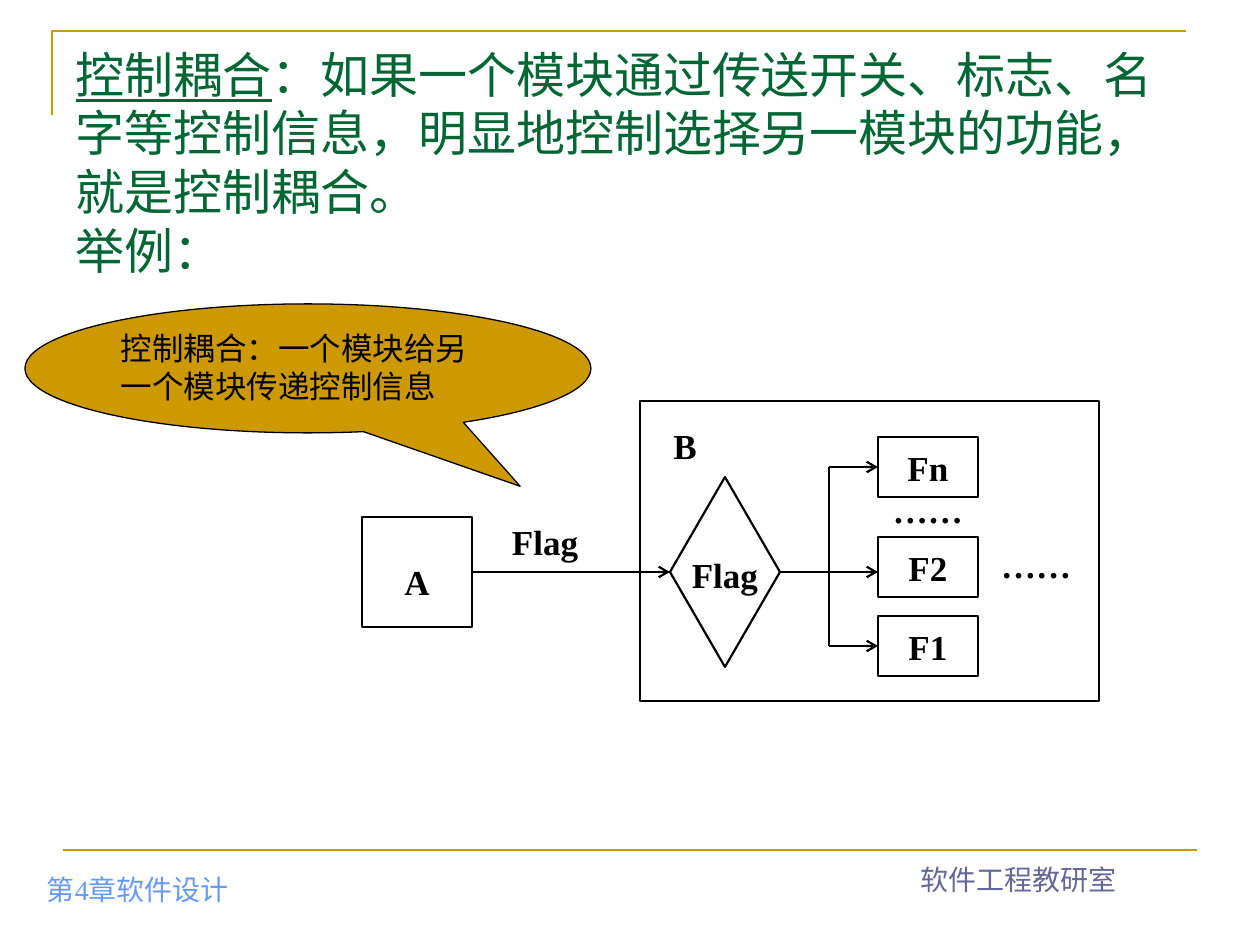
"""Build the control coupling slide."""
from lxml.etree import SubElement
from pptx import Presentation
from pptx.dml.color import RGBColor
from pptx.enum.shapes import MSO_CONNECTOR, MSO_SHAPE
from pptx.enum.text import MSO_ANCHOR, PP_ALIGN
from pptx.oxml.ns import qn
from pptx.util import Pt

SCALE = 914400 / 126
COLORS = {
    "gold": "CC9900", "green": "006633", "blue": "6699FF",
    "violet": "666699", "black": "000000", "white": "FFFFFF",
}
SERIF = "Times New Roman"
LABEL = {"name": SERIF, "size": Pt(20), "bold": True}
FOOTER = {"name": SERIF, "size": Pt(16)}
HEADING = {"name": "Noto Sans CJK SC", "size": Pt(28)}
CALLOUT = {"name": "Arial", "size": Pt(18)}

TITLE = [
    [("控制耦合", True),
     ("：如果一个模块通过传送开关、标志、名字等控制信息，明显地控制选择另一模块的功能，就是控制耦合。", False)],
    [("举例：", False)],
]
FOOTERS = [
    ("第4章软件设计", (34, 849, 397, 63), "blue", PP_ALIGN.LEFT),
    ("软件工程教研室", (819, 839, 399, 63), "violet", PP_ALIGN.CENTER),
]
NOTE = "控制耦合：一个模块给另一个模块传递控制信息"
CASES = [("Fn", 437), ("F2", 537), ("F1", 616)]
CASE_X, CASE_W, CASE_H = 878, 100, 60
TRUNK_X, AXIS_Y = 829, 572
LABELS = [
    ("B", (640, 373, 90, 100), (3, 1), PP_ALIGN.CENTER, 2.2),
    ("Flag", (670, 540, 110, 72), (8, 1), PP_ALIGN.CENTER, 1.3),
    ("……", (878, 488, 100, 54), (3, 1), PP_ALIGN.CENTER, None),
    ("……", (988, 537, 147, 82), (13, 6), PP_ALIGN.JUSTIFY, None),
    ("Flag", (509, 503, 90, 69), (3, 1), PP_ALIGN.JUSTIFY, 1.4),
]


def px(n):
    return round(n * SCALE)


def rgb(name):
    return RGBColor.from_string(COLORS[name])


def write(s, paras, fmt, color="black", align=PP_ALIGN.LEFT, spacing=None,
          inset=(13, 6), anchor=MSO_ANCHOR.TOP):
    tf = s.text_frame
    frame = {
        "word_wrap": True, "vertical_anchor": anchor,
        "margin_left": px(inset[0]), "margin_right": px(inset[0]),
        "margin_top": px(inset[1]), "margin_bottom": px(inset[1]),
    }
    for key, value in frame.items():
        setattr(tf, key, value)
    for i, runs in enumerate(paras):
        p = tf.add_paragraph() if i else tf.paragraphs[0]
        p.alignment = align
        p.line_spacing = spacing
        for text, underline in runs:
            r = p.add_run()
            r.text = text
            for key, value in {**fmt, "underline": underline}.items():
                setattr(r.font, key, value)
            r.font.color.rgb = rgb(color)


def text_box(slide, box, paras, fmt, **options):
    write(slide.shapes.add_textbox(*map(px, box)), paras, fmt, **options)


def shape(slide, kind, box, fill=None, width=1.25):
    s = slide.shapes.add_shape(kind, *map(px, box))
    s.shadow.inherit = False
    if fill:
        s.fill.solid()
        s.fill.fore_color.rgb = rgb(fill)
    else:
        s.fill.background()
    s.line.color.rgb = rgb("black")
    s.line.width = Pt(width)
    return s


def line(slide, start, end, color="black", width=1.25, arrow=True,
         source=None, target=None):
    c = slide.shapes.add_connector(MSO_CONNECTOR.STRAIGHT, *map(px, start + end))
    c.line.color.rgb = rgb(color)
    c.line.width = Pt(width)
    if arrow:
        SubElement(c.line._get_or_add_ln(), qn("a:tailEnd"), type="arrow")
    SubElement(c._element.spPr, qn("a:effectLst"))
    if source:
        c.begin_connect(source, 3)
    if target:
        c.end_connect(target, 1)


def add_frame(slide):
    fb = slide.shapes.build_freeform(px(52), px(115))
    fb.add_line_segments([(px(52), px(31)), (px(1186), px(31))], close=False)
    s = fb.convert_to_shape()
    s.shadow.inherit = False
    s.fill.background()
    s.line.color.rgb = rgb("gold")
    s.line.width = Pt(1.5)
    line(slide, (63, 850), (1197, 850), "gold", 1.5, arrow=False)
    for text, box, color, align in FOOTERS:
        text_box(slide, box, [[(text, False)]], FOOTER, color=color,
                 align=align, anchor=MSO_ANCHOR.BOTTOM)
    text_box(slide, (63, 38, 1134, 158), TITLE, HEADING, color="green")


def add_diagram(slide):
    shape(slide, MSO_SHAPE.RECTANGLE, (640, 401, 459, 300))
    caller = shape(slide, MSO_SHAPE.RECTANGLE, (362, 517, 110, 110), "white")
    write(caller, [[("A", False)]], LABEL, align=PP_ALIGN.CENTER,
          spacing=2.0, inset=(13, 1))
    choice = shape(slide, MSO_SHAPE.DIAMOND, (670, 477, 110, 190))
    line(slide, (472, AXIS_Y), (670, AXIS_Y), source=caller, target=choice)
    line(slide, (780, AXIS_Y), (CASE_X, AXIS_Y), source=choice)
    middles = [y + CASE_H // 2 for _, y in CASES]
    for (name, y), mid in zip(CASES, middles):
        s = shape(slide, MSO_SHAPE.RECTANGLE, (CASE_X, y, CASE_W, CASE_H), "white")
        write(s, [[(name, False)]], LABEL, align=PP_ALIGN.CENTER,
              spacing=1.2, inset=(13, 1))
        if name != "F2":
            line(slide, (TRUNK_X, mid), (CASE_X, mid), target=s)
    line(slide, (TRUNK_X, middles[0]), (TRUNK_X, middles[-1]), arrow=False)
    for text, box, inset, align, spacing in LABELS:
        text_box(slide, box, [[(text, False)]], LABEL, align=align,
                 spacing=spacing, inset=inset)


def add_callout(slide):
    s = shape(slide, MSO_SHAPE.OVAL_CALLOUT, (25, 304, 566, 129), "gold", 0.75)
    s.adjustments[0], s.adjustments[1] = 0.375, 0.914
    write(s, [[(NOTE, False)]], CALLOUT)


def main():
    prs = Presentation()
    prs.slide_width, prs.slide_height = px(1260), px(945)
    slide = prs.slides.add_slide(prs.slide_layouts[6])
    add_frame(slide)
    add_diagram(slide)
    add_callout(slide)
    prs.save("out.pptx")


if __name__ == "__main__":
    main()
